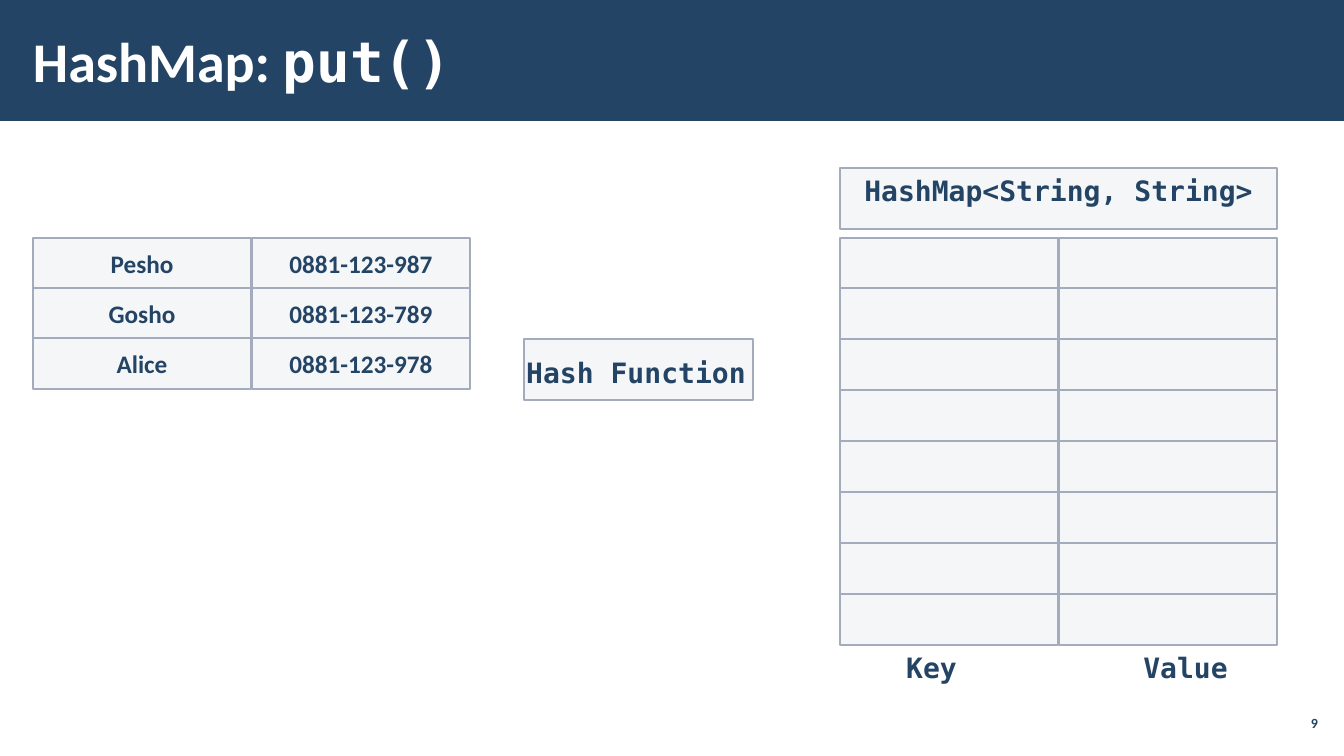
from dataclasses import dataclass

from lxml import etree
from pptx import Presentation
from pptx.dml.color import RGBColor
from pptx.enum.shapes import MSO_SHAPE
from pptx.enum.text import MSO_ANCHOR, PP_ALIGN
from pptx.oxml.ns import qn
from pptx.util import Pt

RECTANGLE = MSO_SHAPE.RECTANGLE
LEFT, CENTER, RIGHT = PP_ALIGN.LEFT, PP_ALIGN.CENTER, PP_ALIGN.RIGHT
TOP, MIDDLE = MSO_ANCHOR.TOP, MSO_ANCHOR.MIDDLE
EMU_PER_PX = 914400 / 100.8
TITLE_ONLY = 5


@dataclass(frozen=True)
class Theme:
    navy: RGBColor = RGBColor(0x23, 0x44, 0x65)
    white: RGBColor = RGBColor(0xFF, 0xFF, 0xFF)
    box_fill: RGBColor = RGBColor(0xC2, 0xC7, 0xD2)
    box_line: RGBColor = RGBColor(0xA3, 0xAB, 0xBC)
    box_opacity: int = 15
    sans: str = "Calibri"
    mono: str = "DejaVu Sans Mono"
    title_size: int = 40
    label_size: int = 20
    entry_size: int = 18
    number_size: int = 10


theme = Theme()


def px(*lengths):
    return [round(length * EMU_PER_PX) for length in lengths]


def write(shape, runs, size, color, align=CENTER, anchor=TOP, insets=(10, 5)):
    """Put bold (text, font) runs into the shape; insets are side and top in px."""
    frame = shape.text_frame
    frame.word_wrap = True
    frame.vertical_anchor = anchor
    side, edge = px(*insets)
    frame.margin_left = frame.margin_right = side
    frame.margin_top = frame.margin_bottom = edge
    paragraph = frame.paragraphs[0]
    paragraph.alignment = align
    for text, font in runs:
        run = paragraph.add_run()
        run.text = text
        run.font.name = font
        run.font.size = Pt(size)
        run.font.bold = True
        run.font.color.rgb = color


prs = Presentation()
prs.slide_width, prs.slide_height = px(1344, 756)
slide = prs.slides.add_slide(prs.slide_layouts[TITLE_ONLY])
shapes = slide.shapes

# Title on its band, which goes to the back
band = shapes.add_shape(RECTANGLE, *px(0, 0, 1344, 121))
band.shadow.inherit = False
band.fill.solid()
band.fill.fore_color.rgb = theme.navy
band.line.fill.background()
title = shapes.title
title.element.addprevious(band.element)
title.left, title.top, title.width, title.height = px(21, 11, 1048, 98)
write(title, [("HashMap: ", theme.sans), ("put()", theme.mono)],
      theme.title_size, theme.white, LEFT, MIDDLE, (12, 4))

# Boxes: two headings, then the cells of the phone book and the hash map
boxes = [(840, 168, 437, 61, ""), (524, 339, 229, 61, "")]
phone_book = [
    ("Pesho", "0881-123-987"),
    ("Gosho", "0881-123-789"),
    ("Alice", "0881-123-978"),
]
empty_buckets = [("", "")] * 8
for left, height, rows in [(33, 151, phone_book), (840, 407, empty_buckets)]:
    for row, entry in enumerate(rows):
        top = 238 + row * height // len(rows)
        bottom = 238 + (row + 1) * height // len(rows)
        for column, text in enumerate(entry):
            boxes.append((left + column * 219, top, 218, bottom - top, text))

for left, top, width, height, text in boxes:
    box = shapes.add_shape(RECTANGLE, *px(left, top, width, height))
    box.shadow.inherit = False
    box.fill.solid()
    box.fill.fore_color.rgb = theme.box_fill
    color = box.fill._xPr.find(qn("a:solidFill"))[0]
    etree.SubElement(color, qn("a:alpha")).set("val", str(theme.box_opacity * 1000))
    box.line.color.rgb = theme.box_line
    box.line.width = Pt(1)
    if text:
        write(box, [(text, theme.sans)], theme.entry_size, theme.navy,
              anchor=MIDDLE, insets=(20, 10))

# Code labels
for text, left, top, width in [
    ("HashMap<String, String>", 840, 168, 437),
    ("Hash Function", 496, 350, 280),
    ("Key", 840, 645, 183),
    ("Value", 1094, 645, 183),
]:
    label = shapes.add_textbox(*px(left, top, width, 44))
    write(label, [(text, theme.mono)], theme.label_size, theme.navy)

slide_number = shapes.add_textbox(*px(1275, 706, 47, 34))
write(slide_number, [("9", theme.sans)], theme.number_size, theme.navy,
      RIGHT, MIDDLE, (4, 4))

prs.save("out.pptx")
